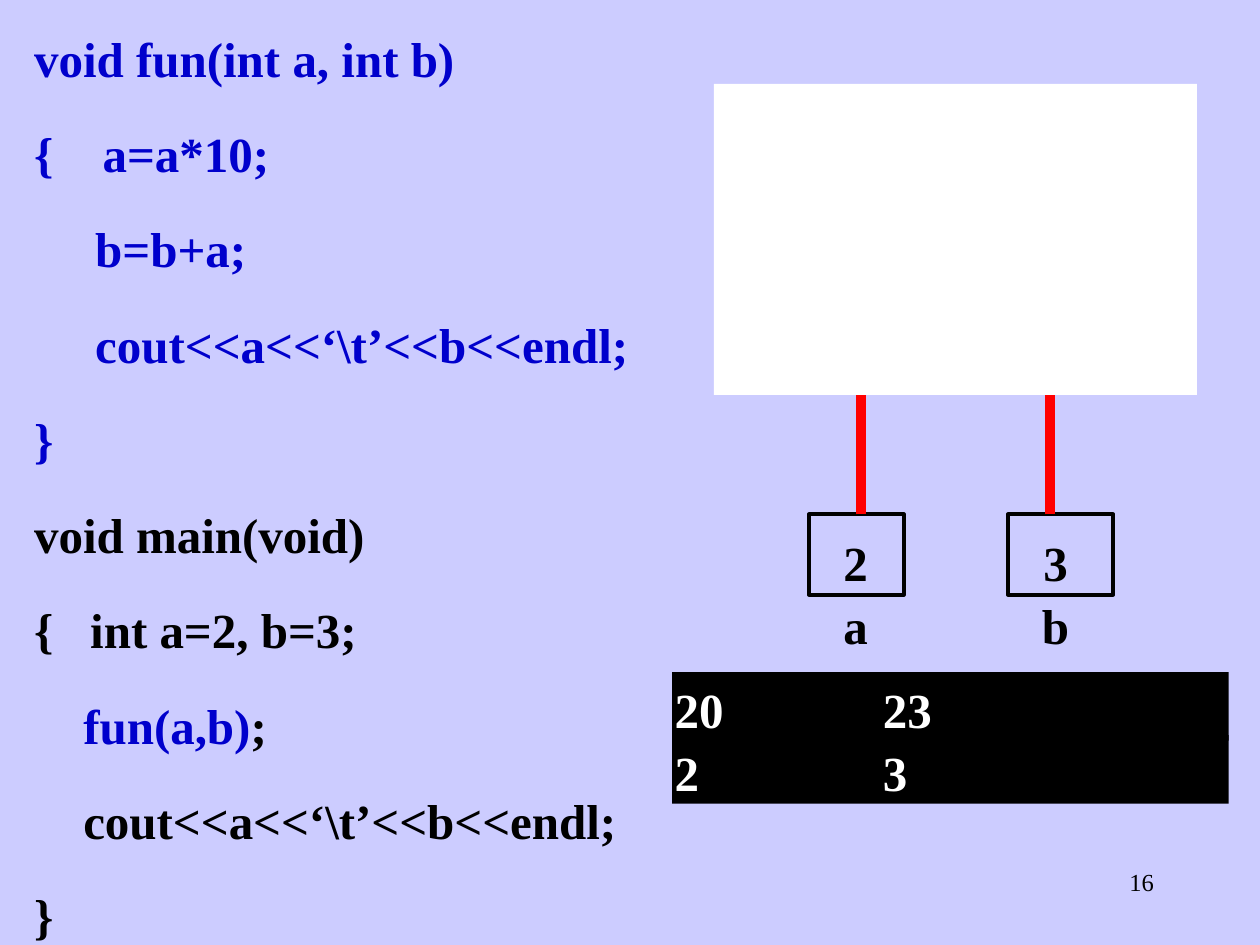
from lxml.etree import SubElement
from pptx import Presentation
from pptx.dml.color import RGBColor
from pptx.enum.shapes import MSO_CONNECTOR, MSO_SHAPE
from pptx.enum.text import MSO_ANCHOR, MSO_AUTO_SIZE, PP_ALIGN
from pptx.oxml.ns import qn
from pptx.util import Cm, Pt

BLUE, BLACK, WHITE, RED = "0000CC", "000000", "FFFFFF", "FF0000"


def color(hex_string):
    return RGBColor.from_string(hex_string)


def write(shape, lines, ink, align=PP_ALIGN.LEFT):
    """Fill a shape with bold lines given as (text, left indent, tab stop) in cm."""
    frame = shape.text_frame
    frame.word_wrap = True
    frame.auto_size = MSO_AUTO_SIZE.SHAPE_TO_FIT_TEXT
    frame.vertical_anchor = MSO_ANCHOR.TOP
    frame.margin_left = frame.margin_right = Cm(0.05)
    frame.margin_top = frame.margin_bottom = Cm(0.03)
    frame.text = "\n".join(text for text, _, _ in lines)
    for paragraph, (_, indent, tab) in zip(frame.paragraphs, lines):
        paragraph.alignment = align
        paragraph.line_spacing = 1.1
        paragraph.space_before = Pt(17.5)
        properties = paragraph._p.get_or_add_pPr()
        if indent:
            properties.set("marL", str(Cm(indent)))
            properties.set("indent", "0")
        if tab:
            stops = SubElement(properties, qn("a:tabLst"))
            SubElement(stops, qn("a:tab"), pos=str(Cm(tab)), algn="l")
        for run in paragraph.runs:
            run.font.name = "Times New Roman"
            run.font.size = Pt(28)
            run.font.bold = True
            run.font.color.rgb = color(ink)


presentation = Presentation()
presentation.slide_width, presentation.slide_height = Cm(25.4), Cm(19.05)
slide = presentation.slides.add_slide(presentation.slide_layouts[6])
slide.background.fill.solid()
slide.background.fill.fore_color.rgb = color("CCCCFF")
shapes = slide.shapes

# Slide number
page_number = shapes.add_textbox(Cm(18.22), Cm(17.35), Cm(5.29), Cm(1.27))
page_number.text_frame.word_wrap = True
page_number.text_frame.text = "16"
page_line = page_number.text_frame.paragraphs[0]
page_line.alignment = PP_ALIGN.RIGHT
page_line.runs[0].font.name = "Times New Roman"
page_line.runs[0].font.size = Pt(14)
page_line.runs[0].font.color.rgb = color(BLACK)

# Program listing: the function in blue, main in black
function_lines = [
    ("void fun(int a, int b)", 0, 0),
    ("{\ta=a*10;", 0, 1.38),
    ("b=b+a;", 1.23, 0),
    (r"cout<<a<<‘\t’<<b<<endl;", 1.23, 0),
    ("}", 0, 0),
]
main_lines = [
    ("void main(void)", 0, 0),
    ("{\tint a=2, b=3;", 0, 1.13),
    ("fun(a,b)", 0.99, 0),
    (r"cout<<a<<‘\t’<<b<<endl;", 0.99, 0),
    ("}", 0, 0),
]
listing = shapes.add_textbox(Cm(0.64), Cm(0.42), Cm(13.34), Cm(18.64))
write(listing, function_lines + main_lines, BLACK)
paragraphs = listing.text_frame.paragraphs
call = paragraphs[7]
for paragraph in (*paragraphs[:len(function_lines)], call):
    paragraph.runs[0].font.color.rgb = color(BLUE)
semicolon = call.add_run()
semicolon.text = ";"
semicolon.font.name = "Times New Roman"
semicolon.font.size = Pt(28)
semicolon.font.bold = True
semicolon.font.color.rgb = color(BLACK)

# Variables of main: cell, value, name and arrow up to the call
variables = [
    ("a", "2", 16.31, 1.91, 16.72, 17.36),
    ("b", "3", 20.32, 2.12, 20.75, 21.17),
]
for name, value, cell_left, cell_width, text_left, arrow_x in variables:
    cell = shapes.add_shape(MSO_SHAPE.RECTANGLE, Cm(cell_left), Cm(10.37),
                            Cm(cell_width), Cm(1.62))
    cell.shadow.inherit = False
    cell.fill.background()
    cell.line.color.rgb = color(BLACK)
    cell.line.width = Pt(2.25)
    for text, top in ((value, 10.58), (name, 11.85)):
        label = shapes.add_textbox(Cm(text_left), Cm(top), Cm(1.06), Cm(1.38))
        write(label, [(text, 0, 0)], BLACK, PP_ALIGN.CENTER)

    arrow = shapes.add_connector(MSO_CONNECTOR.STRAIGHT, Cm(arrow_x), Cm(10.37),
                                 Cm(arrow_x), Cm(5.93))
    arrow.line.color.rgb = color(RED)
    arrow.line.width = Pt(6)
    SubElement(arrow.line._get_or_add_ln(), qn("a:tailEnd"), type="triangle")
    SubElement(arrow._element.spPr, qn("a:effectLst"))

# Console output and the blank panel over the arrow tips
panels = [
    ("20\t23", BLACK, 13.55, 13.55, 11.22, 1.38),
    ("2\t3", BLACK, 13.55, 14.82, 11.22, 1.38),
    ("", WHITE, 14.39, 1.69, 9.74, 6.27),
]
for output, fill, left, top, width, height in panels:
    panel = shapes.add_shape(MSO_SHAPE.RECTANGLE, Cm(left), Cm(top),
                             Cm(width), Cm(height))
    panel.shadow.inherit = False
    panel.fill.solid()
    panel.fill.fore_color.rgb = color(fill)
    panel.line.fill.background()
    if output:
        write(panel, [(output, 0, 4.2)], WHITE)

presentation.save("out.pptx")
